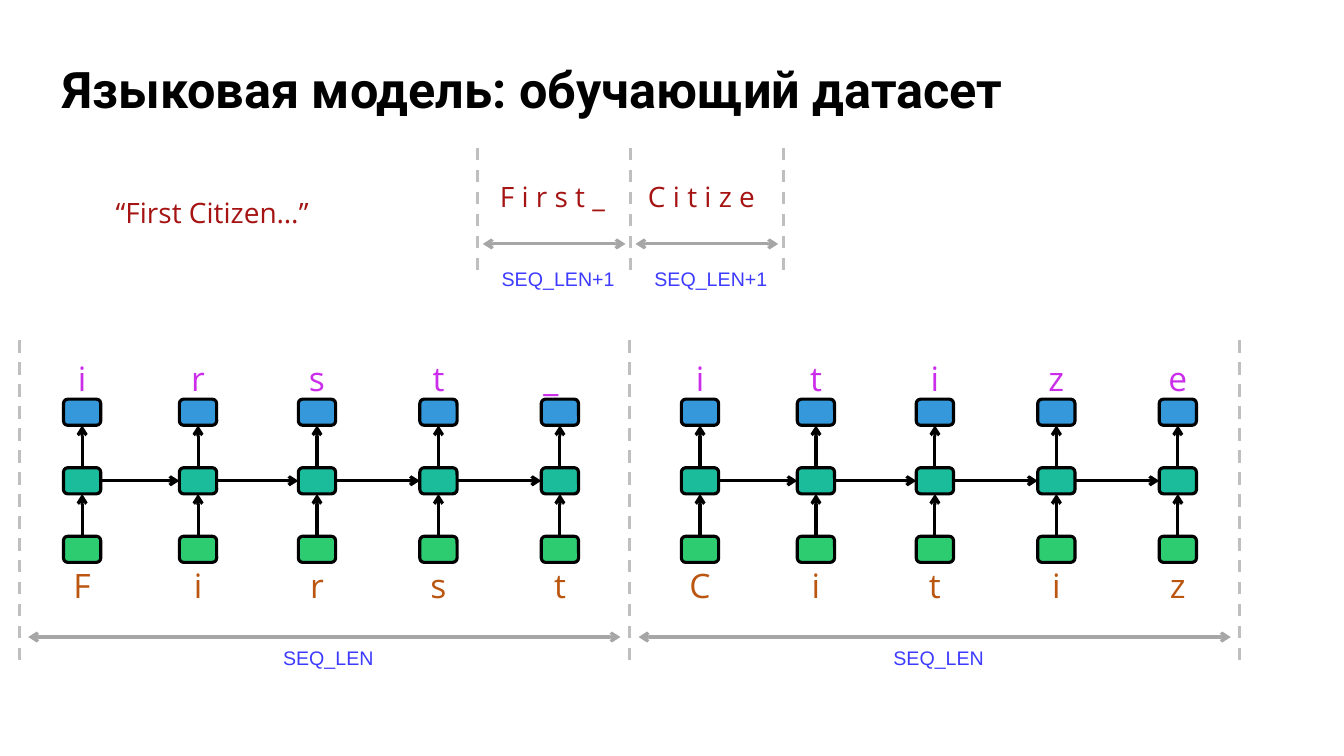
from dataclasses import dataclass
from itertools import pairwise

from lxml.etree import SubElement
from pptx import Presentation
from pptx.dml.color import RGBColor
from pptx.enum.dml import MSO_LINE
from pptx.enum.shapes import MSO_CONNECTOR, MSO_SHAPE
from pptx.enum.text import MSO_ANCHOR, MSO_AUTO_SIZE, PP_ALIGN
from pptx.oxml.ns import qn
from pptx.util import Inches, Pt


@dataclass(frozen=True)
class Theme:
    black: str = "000000"
    quote: str = "A51313"
    length: str = "3D3BFF"
    divider: str = "BFBFBF"
    measure: str = "A6A6A6"
    target: str = "CB2DEB"
    source: str = "BB5611"
    output_cell: str = "3498DB"
    hidden_cell: str = "1ABC9C"
    input_cell: str = "2ECC71"
    title_font: str = "Roboto"
    text_font: str = "Open Sans"
    label_font: str = "Arial"
    title_size: int = 36
    letter_size: int = 24
    quote_size: int = 20
    label_size: int = 14
    stroke: float = 2.25


@dataclass(frozen=True)
class Box:
    left: float
    top: float
    width: float
    height: float


THEME = Theme()

# All lengths are counted in grid cells, ten to the inch
SLIDE_COLUMNS, SLIDE_ROWS = 133.33, 75
NODE_COLUMNS = (6.85, 18.35, 30.15, 42.2, 54.25)
NODE_WIDTH, NODE_HEIGHT, LAYER_STEP = 3.7, 2.6, 6.8


def grid(cells):
    return Inches(cells / 10)


def place(box):
    return [grid(side) for side in (box.left, box.top, box.width, box.height)]


def add_run(paragraph, text, font, size, color, bold=False):
    run = paragraph.add_run()
    run.text = text
    run.font.name, run.font.size, run.font.bold = font, Pt(size), bold
    run.font.color.rgb = RGBColor.from_string(color)


def add_text(slide, box, text, font, size, color, align=PP_ALIGN.CENTER):
    frame = slide.shapes.add_textbox(*place(box)).text_frame
    frame.word_wrap = True
    paragraph = frame.paragraphs[0]
    paragraph.alignment = align
    add_run(paragraph, text, font, size, color)
    return paragraph


def add_line(slide, start, end, color, dashed=False, heads=()):
    line = slide.shapes.add_connector(
        MSO_CONNECTOR.STRAIGHT, *map(grid, (*start, *end)))
    line.line.color.rgb = RGBColor.from_string(color)
    line.line.width = Pt(THEME.stroke)
    if dashed:
        line.line.dash_style = MSO_LINE.DASH
    outline = line.line._get_or_add_ln()
    for head in heads:
        SubElement(outline, qn(f"a:{head}"), type="arrow")
    SubElement(line._element.spPr, qn("a:effectLst"))


def add_node(slide, center, top, color):
    node = slide.shapes.add_shape(MSO_SHAPE.ROUNDED_RECTANGLE, *place(
        Box(center - NODE_WIDTH / 2, top, NODE_WIDTH, NODE_HEIGHT)))
    node.shadow.inherit = False
    node.fill.solid()
    node.fill.fore_color.rgb = RGBColor.from_string(color)
    node.line.color.rgb = RGBColor.from_string(THEME.black)
    node.line.width = Pt(THEME.stroke)


def add_title(slide, box, text):
    title = slide.shapes.title
    title.left, title.top, title.width, title.height = place(box)
    frame = title.text_frame
    frame.auto_size = MSO_AUTO_SIZE.NONE
    frame.vertical_anchor = MSO_ANCHOR.MIDDLE
    paragraph = frame.paragraphs[0]
    paragraph.alignment = PP_ALIGN.LEFT
    paragraph.line_spacing = 0.9
    add_run(paragraph, text, THEME.title_font, THEME.title_size, THEME.black, True)


def add_measured_pair(slide, box, label, inset, measure_row, label_row, label_shift):
    """Two equal spans between dashed dividers, each measured and labelled."""
    span = box.width / 2
    dividers = [box.left + span * i for i in range(3)]
    for x in dividers:
        add_line(slide, (x, box.top + box.height), (x, box.top),
                 THEME.divider, dashed=True)
    y = box.top + measure_row
    for left, right in pairwise(dividers):
        add_line(slide, (left + inset, y), (right - inset, y),
                 THEME.measure, heads=("headEnd", "tailEnd"))
        center = (left + right) / 2 + label_shift
        add_text(slide, Box(center - 7.9, box.top + label_row, 15.8, 3.4),
                 label, THEME.label_font, THEME.label_size, THEME.length)


def add_source_text(slide, box):
    """The quoted text, then its two chunks aligned by a tab stop."""
    style = (THEME.text_font, THEME.quote_size, THEME.quote)
    add_text(slide, Box(box.left, box.top + 1.6, 23.7, 4.4), "“First Citizen…”", *style)
    chunks = add_text(slide, Box(box.left + 39.4, box.top, 41.3, 4.4),
                      "F i r s t _\tC i t i z e", *style, PP_ALIGN.LEFT)
    tabs = SubElement(chunks._p.get_or_add_pPr(), qn("a:tabLst"))
    SubElement(tabs, qn("a:tab"), pos=str(grid(14.7)), algn="l")


def add_network(slide, box, sources, targets):
    """An unrolled recurrent network: inputs below, outputs above."""
    centers = [box.left + column for column in NODE_COLUMNS]
    output_top, hidden_top, input_top = (box.top + 4.6 + LAYER_STEP * i for i in range(3))

    # Cells and upward arrows
    for x in centers:
        for top, color in ((input_top, THEME.input_cell),
                           (hidden_top, THEME.hidden_cell),
                           (output_top, THEME.output_cell)):
            add_node(slide, x, top, color)
        for lower, upper in ((input_top, hidden_top), (hidden_top, output_top)):
            add_line(slide, (x, lower), (x, upper + NODE_HEIGHT),
                     THEME.black, heads=("tailEnd",))

    # State passed from step to step
    y = hidden_top + NODE_HEIGHT / 2
    for before, after in pairwise(centers):
        add_line(slide, (before + NODE_WIDTH / 2, y), (after - NODE_WIDTH / 2, y),
                 THEME.black, heads=("tailEnd",))

    # Letters
    for letters, top, color in ((targets, box.top, THEME.target),
                                (sources, box.top + 20.6, THEME.source)):
        for x, letter in zip(centers, letters):
            shift = -0.9 if letter == "_" else 0
            add_text(slide, Box(x + shift - 4.5, top, 9, 5), letter,
                     THEME.text_font, THEME.letter_size, color)


def main():
    deck = Presentation()
    deck.slide_width, deck.slide_height = grid(SLIDE_COLUMNS), grid(SLIDE_ROWS)
    slide = deck.slides.add_slide(deck.slide_layouts[5])

    add_title(slide, Box(5.2, 5.5, 126.9, 7.2), "Языковая модель: обучающий датасет")

    # Text cut into chunks
    add_source_text(slide, Box(9.2, 17.3, 80.7, 6))
    add_measured_pair(slide, Box(47.4, 14.2, 30.3, 12.6), "SEQ_LEN+1",
                      inset=0.5, measure_row=10, label_row=11.8, label_shift=0.4)

    # Training pairs
    add_network(slide, Box(1.3, 35, 61.3, 25.6), "First", "irst_")
    add_network(slide, Box(62.6, 35, 61.3, 25.6), "Citiz", "itize")
    add_measured_pair(slide, Box(1.9, 32.9, 121.1, 32.6), "SEQ_LEN",
                      inset=0.9, measure_row=30.3, label_row=30.7, label_shift=0.4)

    deck.save("out.pptx")


if __name__ == "__main__":
    main()
